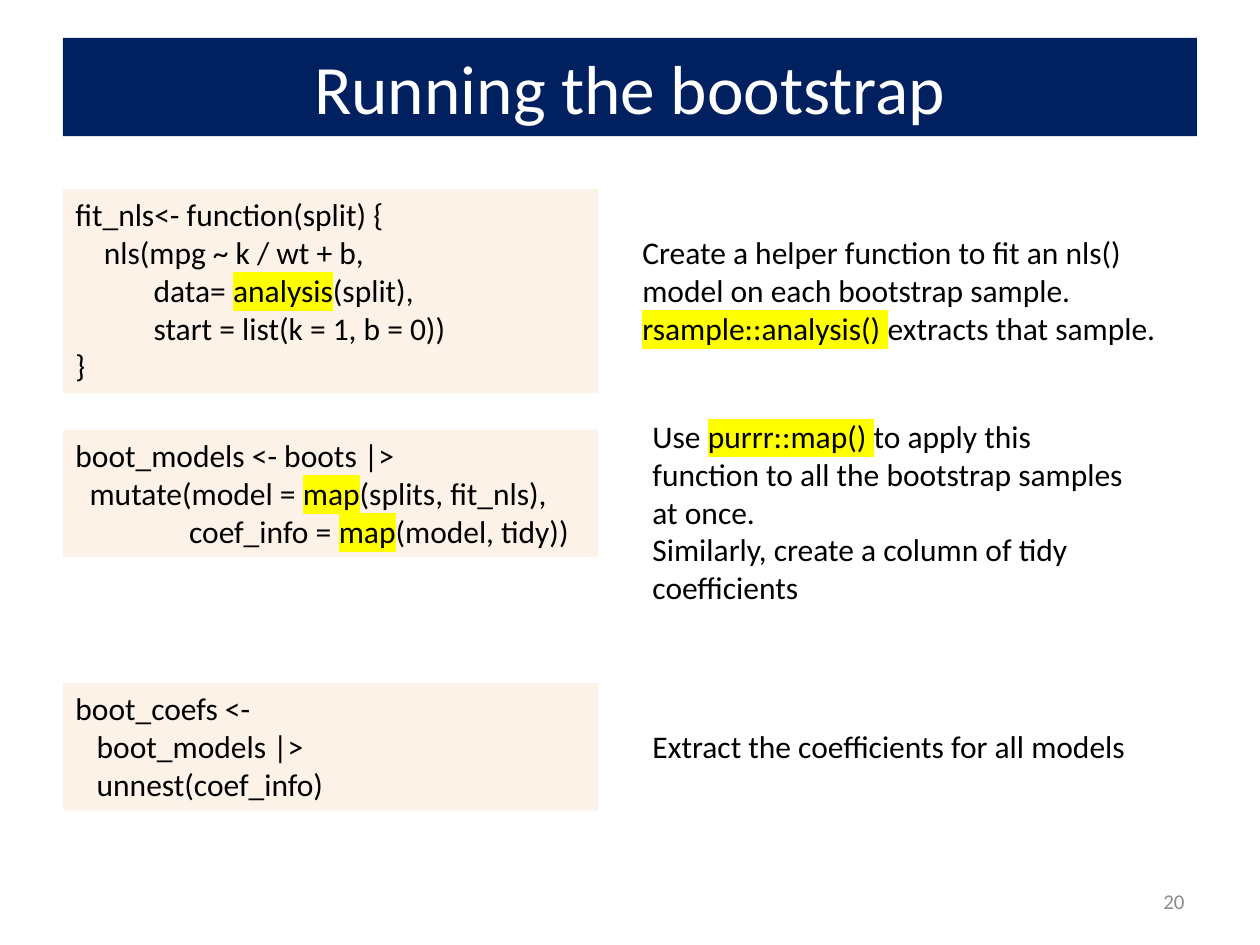
from lxml.etree import SubElement
from pptx import Presentation
from pptx.dml.color import RGBColor
from pptx.enum.shapes import MSO_SHAPE as Shape
from pptx.enum.text import MSO_ANCHOR as Anchor, PP_ALIGN as Align
from pptx.oxml.ns import qn
from pptx.util import Inches, Pt

NAVY = RGBColor(0x00, 0x20, 0x60)
CREAM = RGBColor(0xFD, 0xEA, 0xDA)
YELLOW = RGBColor(0xFF, 0xFF, 0x00)
BLACK = RGBColor(0x00, 0x00, 0x00)
WHITE = RGBColor(0xFF, 0xFF, 0xFF)
GREY = RGBColor(0x8C, 0x8C, 0x8C)

WIDTH, HEIGHT = Inches(10), Inches(7.5)
COLUMNS, ROWS = 20, 25

# Code row, code, note column, note row, note width, note lines, note; backticks mark highlights.
STEPS = [
    (5, """fit_nls<- function(split) {
    nls(mpg ~ k / wt + b,
           data= `analysis`(split),
           start = list(k = 1, b = 0))
}""",
     10, 6, 9, 3,
     "Create a helper function to fit an nls() model on each bootstrap sample.\n"
     "`rsample::analysis() `extracts that sample."),
    (11.37, """boot_models <- boots |>
  mutate(model = `map`(splits, fit_nls),
                coef_info = `map`(model, tidy))""",
     10.16, 10.87, 8.16, 5,
     "Use `purrr::map() `to apply this function to all the bootstrap samples at once.\n"
     "Similarly, create a column of tidy coefficients"),
    (18.07, """boot_coefs <-
   boot_models |>
   unnest(coef_info)""",
     10.16, 19.07, 8.16, 1,
     "Extract the coefficients for all models"),
]


def write(box, text, size=18, color=BLACK, align=Align.LEFT, anchor=Anchor.TOP):
    """Fill a box with formatted lines, highlighting the parts in backticks."""
    frame = box.text_frame
    frame.word_wrap = True
    frame.vertical_anchor = anchor
    for index, line in enumerate(text.split("\n")):
        para = frame.add_paragraph() if index else frame.paragraphs[0]
        para.alignment = align
        for part, words in enumerate(line.split("`")):
            if not words:
                continue
            span = para.add_run()
            span.text = words
            span.font.size = Pt(size)
            span.font.color.rgb = color
            if part % 2:
                mark = SubElement(span.font._element, qn("a:highlight"))
                SubElement(mark, qn("a:srgbClr"), val=str(YELLOW))
            span.font.name = "Calibri"


class Builder:
    """Hold the page and its grid, and add each kind of element."""

    def __init__(self, page):
        self.page = page

    def place(self, column, row, columns, rows):
        across, down = WIDTH / COLUMNS, HEIGHT / ROWS
        return [round(length) for length in
                (column * across, row * down, columns * across, rows * down)]

    def lines_high(self, lines):
        return 0.33 + 1.014 * lines

    def panel(self, shapes, area, fill, opacity=100):
        box = shapes.add_shape(Shape.RECTANGLE, *self.place(*area))
        box.shadow.inherit = False
        box.fill.solid()
        box.fill.fore_color.rgb = fill
        box.line.fill.background()
        if opacity < 100:
            color = box._element.spPr.find(qn("a:solidFill"))[0]
            SubElement(color, qn("a:alpha"), val=str(opacity * 1000))
        return box

    def title(self, text):
        box = self.panel(self.page.shapes, (1, 1, 18, 2.6), NAVY)
        write(box, text, size=39.6, color=WHITE, align=Align.CENTER, anchor=Anchor.MIDDLE)

    def step(self, code_row, code, note_column, note_row, note_width, note_lines, note):
        shapes = self.page.shapes.add_group_shape().shapes
        height = self.lines_high(len(code.split("\n")))
        write(self.panel(shapes, (1, code_row, 8.5, height), CREAM, opacity=60), code)
        area = self.place(note_column, note_row, note_width, self.lines_high(note_lines))
        write(shapes.add_textbox(*area), note)

    def page_number(self, text):
        box = self.page.shapes.add_textbox(*self.place(14.34, 23.17, 4.66, 1.33))
        write(box, text, size=12, color=GREY, align=Align.RIGHT, anchor=Anchor.MIDDLE)


def main():
    deck = Presentation()
    deck.slide_width, deck.slide_height = WIDTH, HEIGHT
    builder = Builder(deck.slides.add_slide(deck.slide_layouts[6]))
    builder.title("Running the bootstrap")
    for step in STEPS:
        builder.step(*step)
    builder.page_number("20")
    deck.save("out.pptx")


if __name__ == "__main__":
    main()
